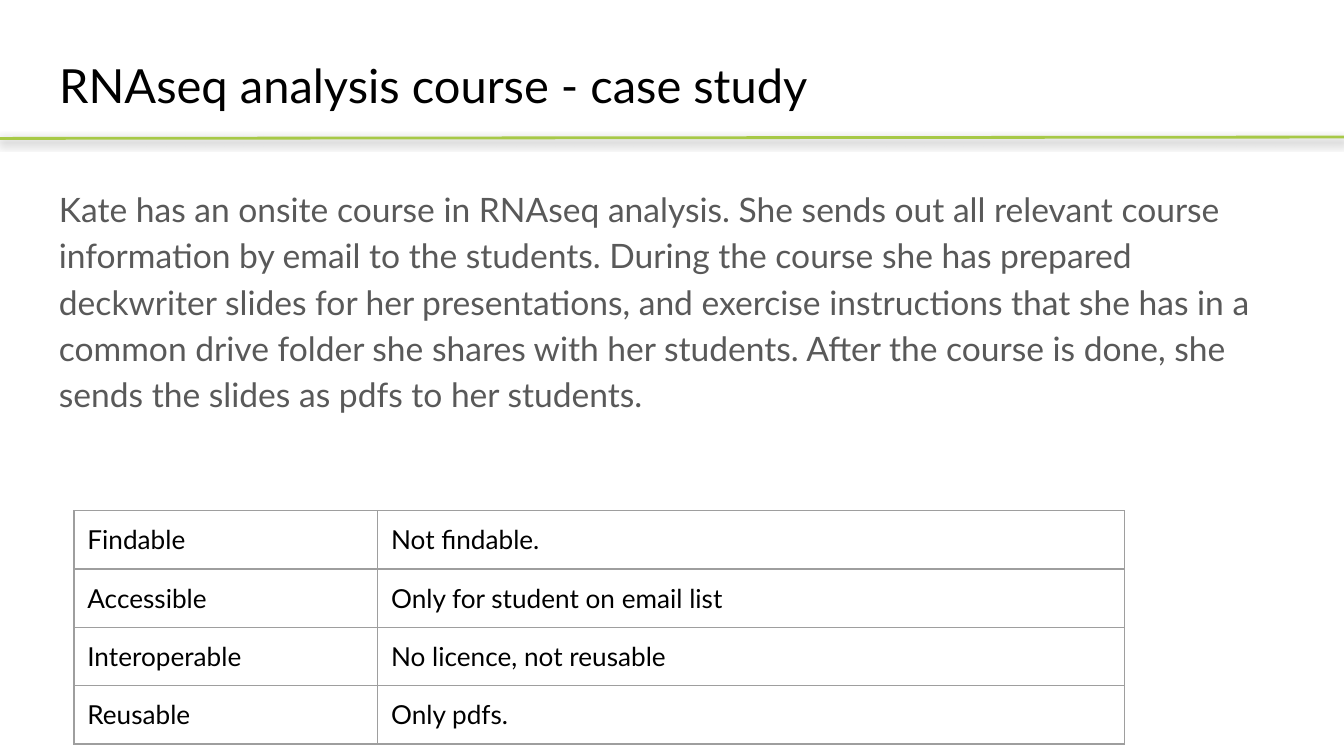
from lxml import etree
from pptx import Presentation
from pptx import util as u
from pptx.dml.color import RGBColor
from pptx.enum import shapes, text
from pptx.oxml import parse_xml
from pptx.oxml.ns import nsdecls, qn

COLORS = {"title": "000000", "body": "595959", "cell": "000000",
          "border": "9E9E9E", "rule": "A7C947", "shadow": "000000"}
FONT = "Lato"

# Widescreen slide, 16:9
prs = Presentation()
prs.slide_width = u.Inches(10)
prs.slide_height = prs.slide_width * 9 // 16
W = prs.slide_width
s = prs.slides.add_slide(prs.slide_layouts[5])
left, width = int(W * 0.034), int(W * 0.932)


def style(p, size, color):
    p.alignment = text.PP_ALIGN.LEFT
    p.font.name, p.font.size = FONT, u.Pt(size)
    p.font.color.rgb = RGBColor.from_string(COLORS[color])


def fill_frame(tf, words, size, color):
    tf.word_wrap = True
    tf.auto_size = text.MSO_AUTO_SIZE.NONE
    tf.vertical_anchor = text.MSO_ANCHOR.TOP
    tf.margin_left = tf.margin_right = tf.margin_top = tf.margin_bottom = u.Inches(0.1)
    tf.text = words
    style(tf.paragraphs[0], size, color)


# Title
sp = s.shapes.title
sp.left, sp.top, sp.width, sp.height = left, u.Inches(0.32), width, u.Inches(0.63)
fill_frame(sp.text_frame, "RNAseq analysis course - case study", 25.2, "title")

# Case description
sp = s.shapes.add_textbox(left, u.Inches(1.26), width, u.Inches(3.74))
fill_frame(sp.text_frame,
           "Kate has an onsite course in RNAseq analysis. She sends out all relevant course "
           "information by email to the students. During the course she has prepared "
           "deckwriter slides for her presentations, and exercise instructions that she has in a "
           "common drive folder she shares with her students. After the course is done, she "
           "sends the slides as pdfs to her students.", 18, "body")
sp.text_frame.paragraphs[0].line_spacing = 1.15

# FAIR assessment table; rows grow to fit their text
rows = [("Findable", "Not findable."),
        ("Accessible", "Only for student on email list"),
        ("Interoperable", "No licence, not reusable"),
        ("Reusable", "Only pdfs.")]
col_widths, row_height = (2.26, 5.56), 0.36
tbl = s.shapes.add_table(len(rows), len(col_widths), u.Inches(0.55), u.Inches(3.8),
                         u.Inches(sum(col_widths)), u.Inches(row_height * len(rows))).table
tbl.first_row = tbl.horz_banding = False
for col, w in zip(tbl.columns, col_widths):
    col.width = u.Inches(w)
for r, row in enumerate(rows):
    for c, words in enumerate(row):
        cell = tbl.cell(r, c)
        cell.text = words
        cell.margin_left = cell.margin_right = u.Inches(0.1)
        cell.margin_top = cell.margin_bottom = u.Inches(0.1)
        style(cell.text_frame.paragraphs[0], 14, "cell")
        cell.fill.background()
        # Borders come before the fill in the cell properties
        for i, side in enumerate(("lnL", "lnR", "lnT", "lnB")):
            cell._tc.get_or_add_tcPr().insert(i, parse_xml(
                f'<a:{side} {nsdecls("a")} w="{u.Pt(0.75)}"><a:solidFill>'
                f'<a:srgbClr val="{COLORS["border"]}"/></a:solidFill></a:{side}>'))

# Green rule under the title, with a soft shadow
rule = s.shapes.add_connector(shapes.MSO_CONNECTOR.STRAIGHT, u.Inches(-0.01), u.Inches(1.03),
                              u.Inches(10.01), u.Inches(1.02))
rule.line.color.rgb = RGBColor.from_string(COLORS["rule"])
rule.line.width = u.Pt(1.5)
effects = etree.SubElement(rule._element.spPr, qn("a:effectLst"))
shadow = etree.SubElement(effects, qn("a:outerShdw"), blurRad=str(u.Pt(4.5)),
                          dist=str(u.Pt(1.5)), dir=str(90 * 60000), algn="bl", rotWithShape="0")
color = etree.SubElement(shadow, qn("a:srgbClr"), val=COLORS["shadow"])
etree.SubElement(color, qn("a:alpha"), val="50000")

prs.save("out.pptx")
